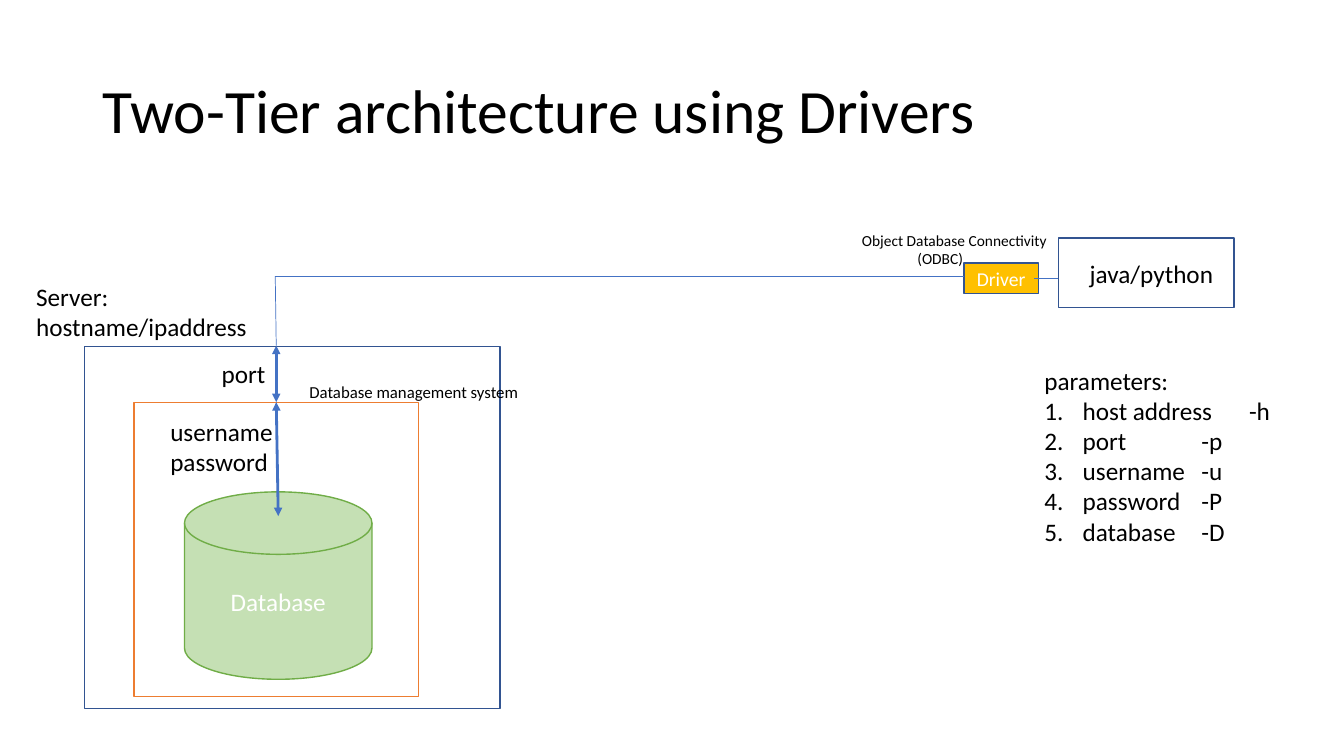
from dataclasses import dataclass

from lxml import etree
from pptx import Presentation
from pptx.dml.color import RGBColor
from pptx.enum.shapes import MSO_CONNECTOR, MSO_SHAPE
from pptx.enum.text import MSO_ANCHOR, MSO_AUTO_SIZE, PP_ALIGN
from pptx.oxml.ns import qn
from pptx.slide import Slide
from pptx.text.text import TextFrame, _Paragraph
from pptx.util import Inches, Pt

RECTANGLE = MSO_SHAPE.RECTANGLE
CYLINDER = MSO_SHAPE.FLOWCHART_MAGNETIC_DISK
STRAIGHT = MSO_CONNECTOR.STRAIGHT
MIDDLE = MSO_ANCHOR.MIDDLE
LEFT, CENTER = PP_ALIGN.LEFT, PP_ALIGN.CENTER
GROW = MSO_AUTO_SIZE.SHAPE_TO_FIT_TEXT
TITLE_ONLY = 5


@dataclass(frozen=True)
class Theme:
    font: str = "Calibri"
    text: str = "000000"
    light_text: str = "FFFFFF"
    frame: str = "325491"
    connector: str = "4472C4"
    system: str = "ED7D31"
    database_fill: str = "C5E0B4"
    database_line: str = "70AD47"
    driver_fill: str = "FFC000"
    title_size: float = 44
    body_size: float = 18
    driver_size: float = 14
    system_size: float = 12
    note_size: float = 11
    frame_width: float = 1
    arrow_width: float = 2
    wire_width: float = 0.5


THEME = Theme()


@dataclass(frozen=True)
class Block:
    left: float
    top: float
    width: float
    height: float
    line: str = THEME.frame
    fill: str | None = None
    text: str = ""
    size: float = THEME.body_size
    preset: MSO_SHAPE = RECTANGLE


@dataclass(frozen=True)
class Label:
    left: float
    top: float
    width: float
    height: float
    lines: tuple[str, ...]
    size: float = THEME.body_size
    wrap: bool = False
    later_indent: float = 0
    numbered: bool = False


@dataclass(frozen=True)
class Link:
    start: tuple[float, float]
    end: tuple[float, float]
    arrows: bool = False


PORT_X, SERVER_Y, SYSTEM_Y, WIRE_Y = 2.74, 3.43, 3.99, 2.74

BLOCKS = (
    Block(0.84, 3.44, 4.12, 3.59),
    Block(1.83, 4.88, 1.86, 1.86, THEME.database_line, THEME.database_fill,
          "Database", preset=CYLINDER),
    Block(1.33, SYSTEM_Y, 2.82, 2.92, THEME.system),
    Block(10.5, 2.36, 1.74, 0.69),
    Block(9.56, 2.61, 0.74, 0.3, fill=THEME.driver_fill, text="Driver",
          size=THEME.driver_size),
)

LINKS = (
    Link((PORT_X, SERVER_Y), (PORT_X, SYSTEM_Y), arrows=True),
    Link((PORT_X, SYSTEM_Y), (2.76, 5.12), arrows=True),
    Link((PORT_X, SERVER_Y), (2.73, WIRE_Y)),
    Link((2.73, WIRE_Y), (9.56, WIRE_Y)),
    Link((10.26, 2.76), (10.49, 2.76)),
)

LABELS = (
    Label(0.26, 2.74, 2.31, 0.71, ("Server:", "hostname/ipaddress")),
    Label(2.97, 3.74, 3.35, 0.3, ("Database management system",),
          size=THEME.system_size, wrap=True),
    Label(2.1, 3.51, 0.64, 0.4, ("port",)),
    Label(1.59, 4.08, 1.29, 0.71, ("username", "password")),
    Label(10.71, 2.51, 1.44, 0.4, ("java/python",)),
    Label(8.45, 2.24, 2.05, 0.47, ("Object Database Connectivity", "(ODBC)"),
          size=THEME.note_size, later_indent=0.55),
    Label(10.26, 3.57, 2.55, 1.92,
          ("parameters:", "host address\t -h", "port\t\t -p", "username\t -u",
           "password\t -P", "database\t -D"),
          later_indent=0.38, numbered=True),
)


def write(para: _Paragraph, text: str, *, size: float, color: str = THEME.text,
          align: PP_ALIGN = LEFT) -> None:
    para.alignment = align
    span = para.add_run()
    span.text = text
    span.font.name = THEME.font
    span.font.size = Pt(size)
    span.font.color.rgb = RGBColor.from_string(color)


def indent(para: _Paragraph, distance: float, numbered: bool) -> None:
    """Indent a paragraph, with a hanging automatic number if asked."""
    properties = para._p.get_or_add_pPr()
    properties.set("marL", str(Inches(distance)))
    if numbered:
        properties.set("indent", str(-Inches(distance)))
        etree.SubElement(properties, qn("a:buAutoNum"), type="arabicPeriod")


def add_lines(frame: TextFrame, label: Label) -> None:
    for index, text in enumerate(label.lines):
        para = frame.add_paragraph() if index else frame.paragraphs[0]
        write(para, text, size=label.size)
        if index and label.later_indent:
            indent(para, label.later_indent, label.numbered)


def add_title(page: Slide, text: str) -> None:
    title = page.shapes.title
    title.left, title.top = Inches(0.92), Inches(0.4)
    title.width, title.height = Inches(11.5), Inches(1.45)
    title.text_frame.vertical_anchor = MIDDLE
    para = title.text_frame.paragraphs[0]
    para.line_spacing = 0.9
    write(para, text, size=THEME.title_size)


def add_block(page: Slide, block: Block) -> None:
    box = page.shapes.add_shape(
        block.preset, Inches(block.left), Inches(block.top),
        Inches(block.width), Inches(block.height))
    box.shadow.inherit = False
    box.line.color.rgb = RGBColor.from_string(block.line)
    box.line.width = Pt(THEME.frame_width)
    if block.fill:
        box.fill.solid()
        box.fill.fore_color.rgb = RGBColor.from_string(block.fill)
    else:
        box.fill.background()
    if block.text:
        box.text_frame.vertical_anchor = MIDDLE
        write(box.text_frame.paragraphs[0], block.text, size=block.size,
              color=THEME.light_text, align=CENTER)


def add_link(page: Slide, link: Link) -> None:
    (start_x, start_y), (end_x, end_y) = link.start, link.end
    connector = page.shapes.add_connector(
        STRAIGHT, Inches(start_x), Inches(start_y), Inches(end_x), Inches(end_y))
    connector.line.color.rgb = RGBColor.from_string(THEME.connector)
    connector.line.width = Pt(THEME.arrow_width if link.arrows else THEME.wire_width)
    if link.arrows:
        outline = connector.line._get_or_add_ln()
        for tag in ("a:headEnd", "a:tailEnd"):
            etree.SubElement(outline, qn(tag), type="triangle")
    etree.SubElement(connector._element.spPr, qn("a:effectLst"))


def add_label(page: Slide, label: Label) -> None:
    box = page.shapes.add_textbox(
        Inches(label.left), Inches(label.top),
        Inches(label.width), Inches(label.height))
    box.text_frame.word_wrap = label.wrap
    box.text_frame.auto_size = GROW
    add_lines(box.text_frame, label)


def main() -> None:
    deck = Presentation()
    deck.slide_width, deck.slide_height = Inches(13.33), Inches(7.5)
    page = deck.slides.add_slide(deck.slide_layouts[TITLE_ONLY])
    add_title(page, "Two-Tier architecture using Drivers")
    for block in BLOCKS:
        add_block(page, block)
    for link in LINKS:
        add_link(page, link)
    for label in LABELS:
        add_label(page, label)
    deck.save("out.pptx")


if __name__ == "__main__":
    main()
